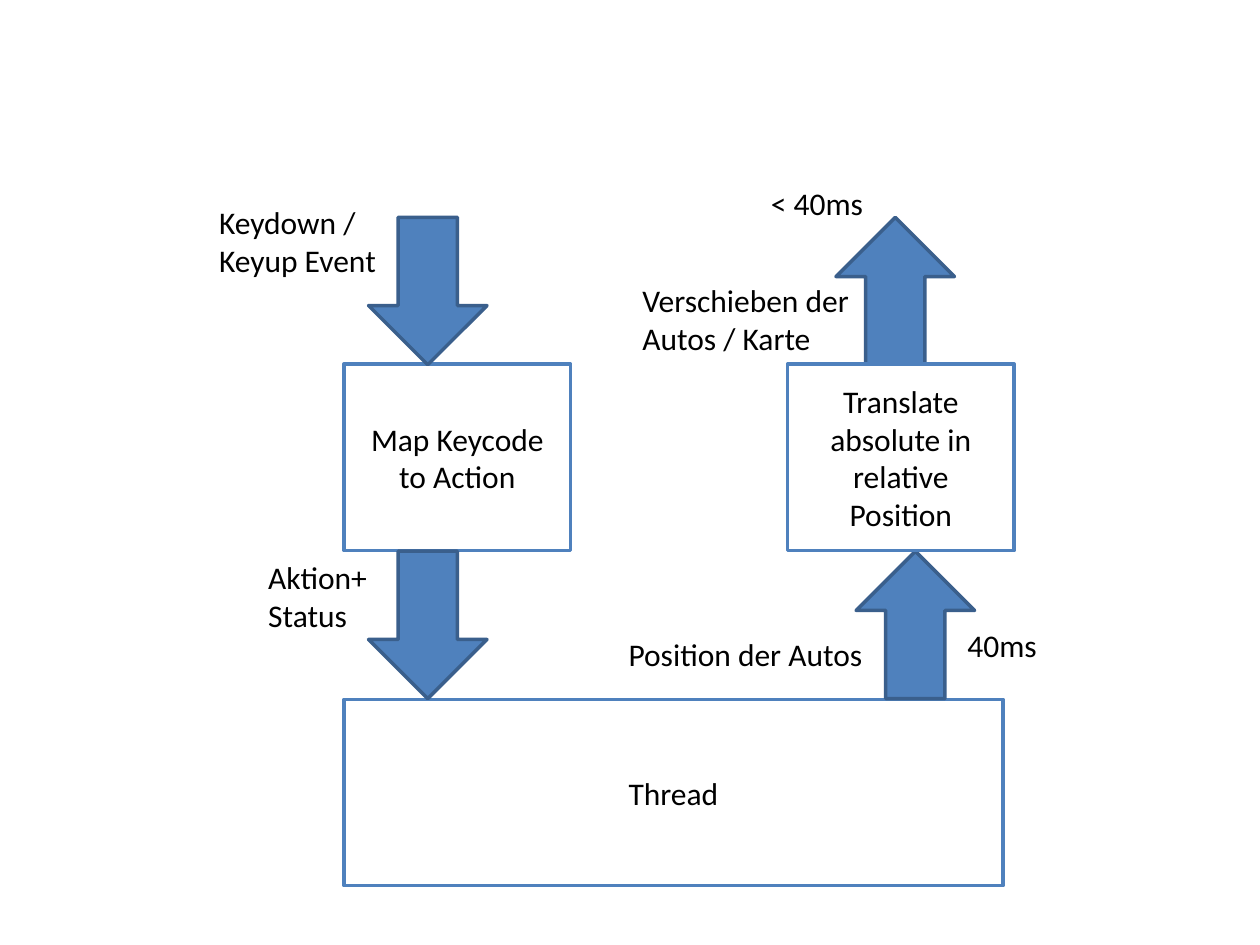
from pptx import Presentation
from pptx.dml.color import RGBColor
from pptx.enum.shapes import MSO_SHAPE
from pptx.enum.text import MSO_ANCHOR, MSO_AUTO_SIZE, PP_ALIGN
from pptx.util import Inches, Pt

WHITE = RGBColor(0xFF, 0xFF, 0xFF)
BLACK = RGBColor(0x00, 0x00, 0x00)
BLUE = RGBColor(0x4F, 0x81, 0xBD)
DARK_BLUE = RGBColor(0x3A, 0x5F, 0x8C)

UPPER_BOX, LOWER_BOX = 2.89, 5.55
UPPER_ARROW, LOWER_ARROW = 1.84, 4.49
DOWN, UP = 90, 270
BOX_HEIGHT = 1.48
ARROW_LENGTH, ARROW_BREADTH = 1.17, 0.94
LABEL_HEIGHTS = {1: 0.4, 2: 0.71}

KEYCODE_BOX = ("Map Keycode to Action", 2.73, UPPER_BOX, 1.8)
THREAD_BOX = ("Thread", 2.73, LOWER_BOX, 5.23)
TRANSLATE_BOX = ("Translate absolute in relative Position", 6.25, UPPER_BOX, 1.8)

ARROWS = [
    (2.81, UPPER_ARROW, DOWN),
    (2.81, LOWER_ARROW, DOWN),
    (6.68, LOWER_ARROW, UP),
    (6.52, UPPER_ARROW, UP),
]

LABELS = [
    ("40ms", 7.58, 4.92, 0.78, 1),
    ("< 40ms", 6.02, 1.41, 1.02, 1),
    ("Position der Autos", 4.89, 4.99, 2.14, 1),
    ("Verschieben der Autos / Karte", 5, 2.18, 1.95, 2),
    ("Keydown / Keyup Event", 1.64, 1.56, 1.48, 2),
    ("Aktion+ Status", 2.03, 4.38, 1.02, 2),
]


def write_text(shape, text, alignment):
    text_frame = shape.text_frame
    text_frame.text = text
    text_frame.word_wrap = True
    paragraph = text_frame.paragraphs[0]
    paragraph.alignment = alignment
    font = paragraph.runs[0].font
    font.name = "Calibri"
    font.size = Pt(18)
    font.color.rgb = BLACK


def add_block(slide, kind, left, top, width, height, fill, line):
    shape = slide.shapes.add_shape(
        kind, Inches(left), Inches(top), Inches(width), Inches(height)
    )
    shape.shadow.inherit = False
    shape.fill.solid()
    shape.fill.fore_color.rgb = fill
    shape.line.color.rgb = line
    shape.line.width = Pt(2)
    return shape


def add_box(slide, text, left, top, width):
    box = add_block(
        slide, MSO_SHAPE.RECTANGLE, left, top, width, BOX_HEIGHT, WHITE, BLUE
    )
    write_text(box, text, PP_ALIGN.CENTER)
    box.text_frame.vertical_anchor = MSO_ANCHOR.MIDDLE


def add_arrow(slide, left, top, rotation):
    arrow = add_block(
        slide, MSO_SHAPE.RIGHT_ARROW, left, top,
        ARROW_LENGTH, ARROW_BREADTH, BLUE, DARK_BLUE,
    )
    arrow.rotation = rotation


def add_label(slide, text, left, top, width, lines):
    label = slide.shapes.add_textbox(
        Inches(left), Inches(top), Inches(width), Inches(LABEL_HEIGHTS[lines])
    )
    write_text(label, text, PP_ALIGN.LEFT)
    label.text_frame.auto_size = MSO_AUTO_SIZE.SHAPE_TO_FIT_TEXT


def main():
    presentation = Presentation()
    presentation.slide_width = Inches(10)
    presentation.slide_height = Inches(7.5)
    slide = presentation.slides.add_slide(presentation.slide_layouts[6])
    for box in (KEYCODE_BOX, THREAD_BOX):
        add_box(slide, *box)
    for arrow in ARROWS:
        add_arrow(slide, *arrow)
    for label in LABELS:
        add_label(slide, *label)
    add_box(slide, *TRANSLATE_BOX)
    presentation.save("out.pptx")


if __name__ == "__main__":
    main()
